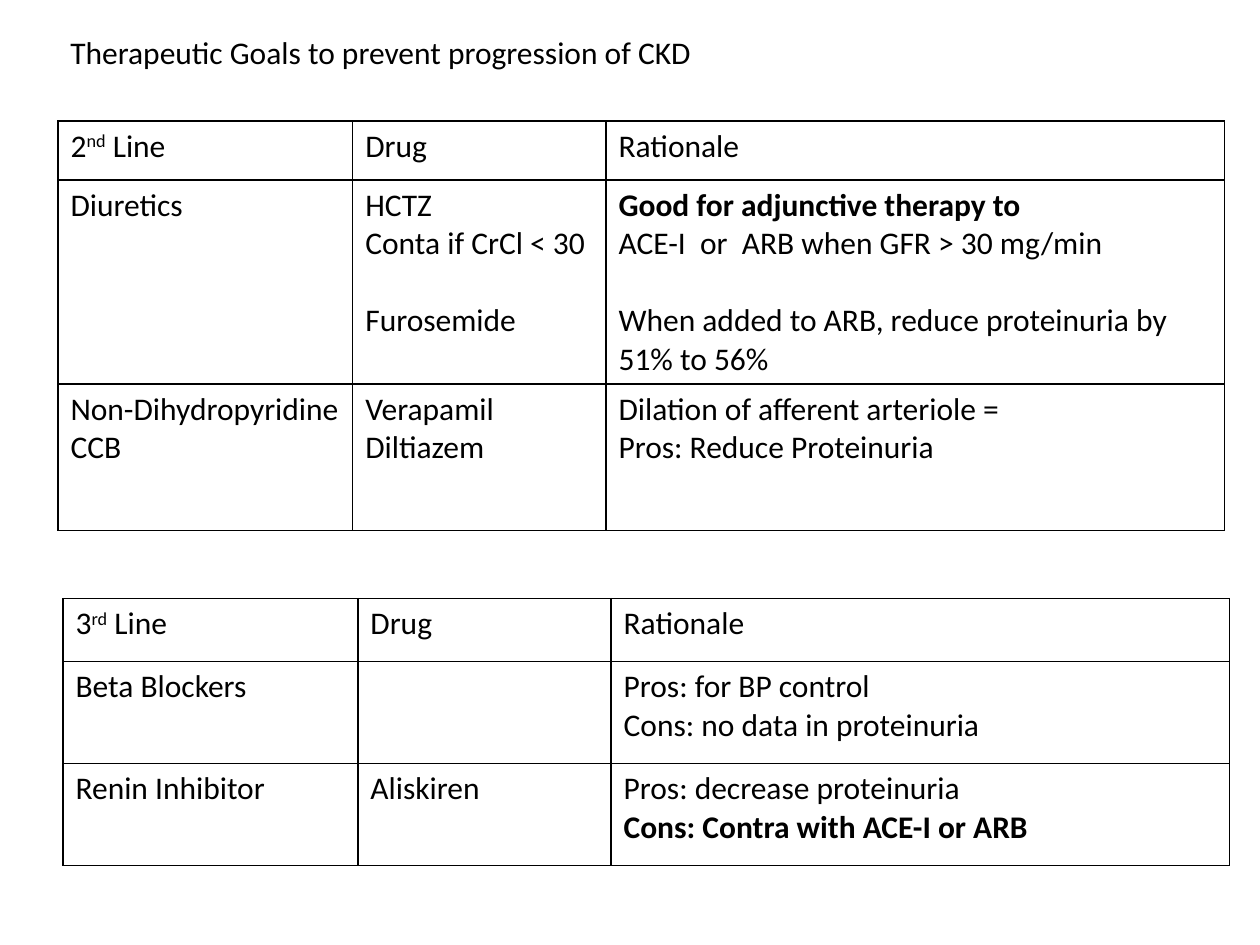
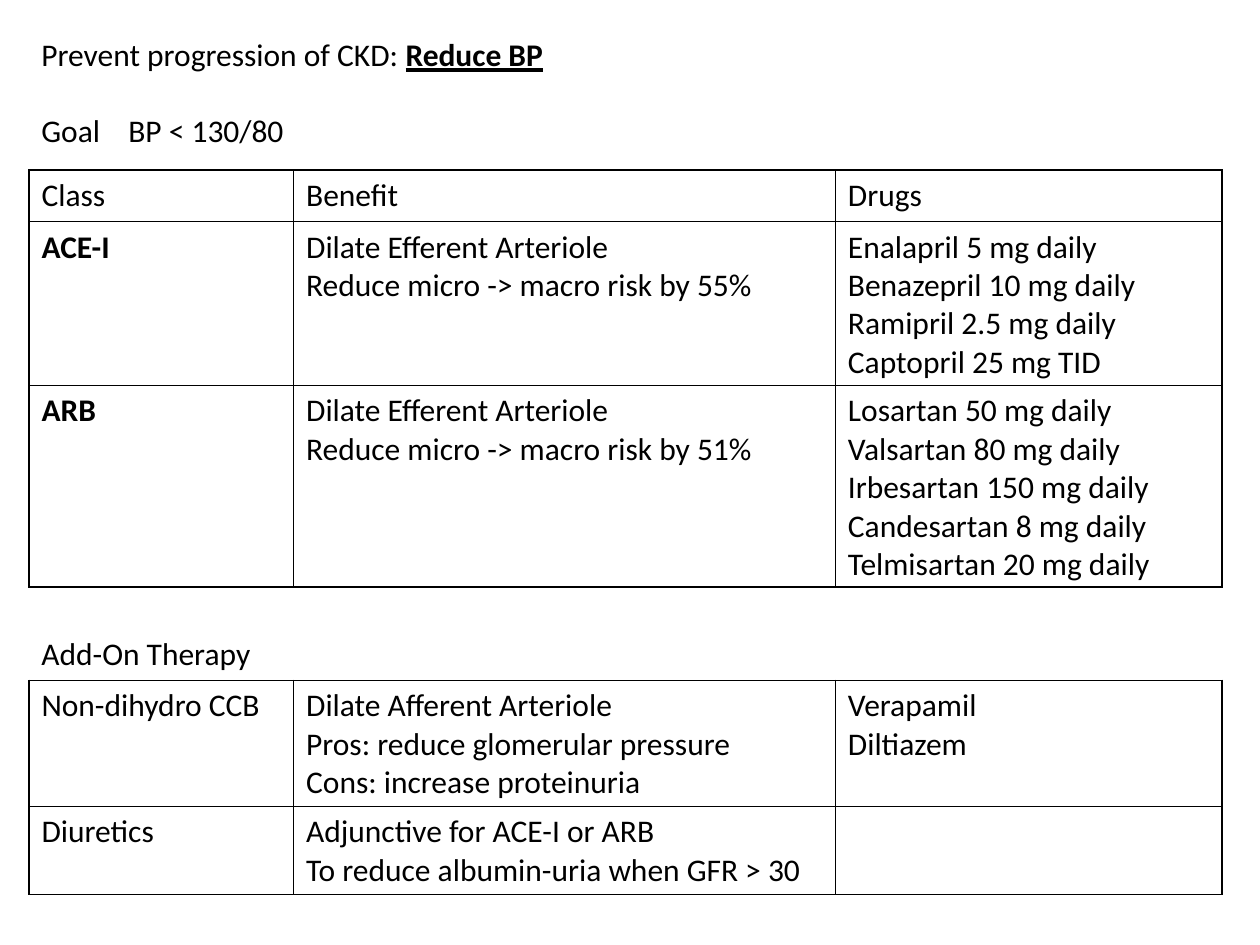
from dataclasses import dataclass

from lxml.etree import SubElement
from pptx import Presentation
from pptx.dml.color import RGBColor
from pptx.oxml.ns import qn
from pptx.util import Inches, Pt

BLACK = RGBColor(0x00, 0x00, 0x00)
FONT = "Calibri"
SIZE = Pt(18)
LINE_GAP = Pt(22)  # height of one text line
BORDER = Pt(1)


@dataclass(frozen=True)
class Run:
    text: str
    bold: bool = False
    underline: bool = False
    superscript: bool = False


@dataclass(frozen=True)
class Para:
    runs: tuple[Run, ...]
    gap_before: bool = False
    tab: float = 0


@dataclass(frozen=True)
class Label:
    left: float
    top: float
    width: float
    height: float
    paras: list[Para]


@dataclass(frozen=True)
class Grid:
    left: float
    top: float
    cols: tuple[float, ...]
    heights: tuple[float, ...]
    rows: list[list[list[Para]]]


def lines(*texts: str) -> list[Para]:
    return [Para((Run(t),)) for t in texts]


def bold(text: str) -> Para:
    return Para((Run(text, bold=True),))


def spaced(text: str, tab: float = 0) -> Para:
    return Para((Run(text),), gap_before=True, tab=tab)


def ordinal(number: str, suffix: str) -> list[Para]:
    return [Para((Run(number), Run(suffix, superscript=True), Run(" Line")))]


def write(tf, paras: list[Para]) -> None:
    for i, para in enumerate(paras):
        p = tf.paragraphs[0] if i == 0 else tf.add_paragraph()
        if para.gap_before:
            p.space_before = LINE_GAP
        if para.tab:
            tabs = SubElement(p._p.get_or_add_pPr(), qn("a:tabLst"))
            SubElement(tabs, qn("a:tab"), pos=str(Inches(para.tab)), algn="l")
        for run in para.runs:
            r = p.add_run()
            r.text = run.text
            r.font.name, r.font.size = FONT, SIZE
            r.font.color.rgb = BLACK
            r.font.bold, r.font.underline = run.bold, run.underline
            if run.superscript:
                r.font._element.set("baseline", "30000")


def add_label(slide, label: Label) -> None:
    sp = slide.shapes.add_textbox(Inches(label.left), Inches(label.top),
                                  Inches(label.width), Inches(label.height))
    sp.text_frame.word_wrap = False
    write(sp.text_frame, label.paras)


def add_borders(cell) -> None:
    tc_pr = cell._tc.get_or_add_tcPr()
    for side in ("lnL", "lnR", "lnT", "lnB"):
        ln = SubElement(tc_pr, qn(f"a:{side}"), w=str(BORDER))
        SubElement(SubElement(ln, qn("a:solidFill")), qn("a:srgbClr"), val=str(BLACK))


def add_grid(slide, grid: Grid) -> None:
    table = slide.shapes.add_table(
        len(grid.rows), len(grid.cols), Inches(grid.left), Inches(grid.top),
        Inches(sum(grid.cols)), Inches(sum(grid.heights))).table
    table.first_row = table.horz_banding = False
    for col, width in zip(table.columns, grid.cols):
        col.width = Inches(width)
    for row, height, contents in zip(table.rows, grid.heights, grid.rows):
        row.height = Inches(height)
        for cell, paras in zip(row.cells, contents):
            add_borders(cell)
            cell.fill.background()
            write(cell.text_frame, paras)


# Column widths shared by the tables of each slide
LINE_COLS = (2.34, 2.01, 4.91)
CLASS_COLS = (2.1, 4.3, 3.07)


def efferent(percent: int) -> list[Para]:
    return lines("Dilate Efferent Arteriole",
                 f"Reduce micro -> macro risk by {percent}%")


# Slide 1: second and third line drugs
GOALS = [
    Label(0.46, 0.21, 5.2, 0.4,
          lines("Therapeutic Goals to prevent progression of CKD")),
    Grid(0.46, 0.96, LINE_COLS, (0.47, 1.62, 1.16), [
        [ordinal("2", "nd"), lines("Drug"), lines("Rationale")],
        [lines("Diuretics"),
         lines("HCTZ", "Conta if CrCl < 30") + [spaced("Furosemide")],
         [bold("Good for adjunctive therapy to"),
          *lines("ACE-I  or  ARB when GFR > 30 mg/min"),
          spaced("When added to ARB, reduce proteinuria by 51% to 56%")]],
        [lines("Non-Dihydropyridine", "CCB"), lines("Verapamil", "Diltiazem"),
         lines("Dilation of afferent arteriole =", "Pros: Reduce Proteinuria")],
    ]),
    Grid(0.5, 4.75, LINE_COLS, (0.5, 0.81, 0.81), [
        [ordinal("3", "rd"), lines("Drug"), lines("Rationale")],
        [lines("Beta Blockers"), [],
         lines("Pros: for BP control", "Cons: no data in proteinuria")],
        [lines("Renin Inhibitor"), lines("Aliskiren"),
         lines("Pros: decrease proteinuria") + [bold("Cons: Contra with ACE-I or ARB")]],
    ]),
]

# Slide 2: blood pressure drugs and add-on therapy
REDUCE_BP = [
    Label(0.23, 0.23, 4.22, 1.01, [
        Para((Run("Prevent progression of CKD: "),
              Run("Reduce BP", bold=True, underline=True))),
        spaced("Goal\tBP < 130/80", tab=0.69),
    ]),
    Grid(0.23, 1.35, CLASS_COLS, (0.41, 1.3, 1.6), [
        [lines("Class"), lines("Benefit"), lines("Drugs")],
        [[bold("ACE-I")], efferent(55),
         lines("Enalapril 5 mg daily", "Benazepril 10 mg daily",
               "Ramipril 2.5 mg daily", "Captopril 25 mg TID")],
        [[bold("ARB")], efferent(51),
         lines("Losartan 50 mg daily", "Valsartan 80 mg daily",
               "Irbesartan 150 mg daily", "Candesartan 8 mg daily",
               "Telmisartan 20 mg daily")],
    ]),
    Grid(0.23, 5.4, CLASS_COLS, (1.0, 0.7), [
        [lines("Non-dihydro CCB"),
         lines("Dilate Afferent Arteriole", "Pros: reduce glomerular pressure",
               "Cons: increase proteinuria"),
         lines("Verapamil", "Diltiazem")],
        [lines("Diuretics"),
         lines("Adjunctive for ACE-I or ARB", "To reduce albumin-uria when GFR > 30"),
         []],
    ]),
    Label(0.23, 4.98, 1.88, 0.4, lines("Add-On Therapy")),
]


def main() -> None:
    prs = Presentation()
    prs.slide_width, prs.slide_height = Inches(10), Inches(7.5)
    for parts in (GOALS, REDUCE_BP):
        slide = prs.slides.add_slide(prs.slide_layouts[6])
        for part in parts:
            if isinstance(part, Grid):
                add_grid(slide, part)
            else:
                add_label(slide, part)
    prs.save("out.pptx")


if __name__ == "__main__":
    main()
